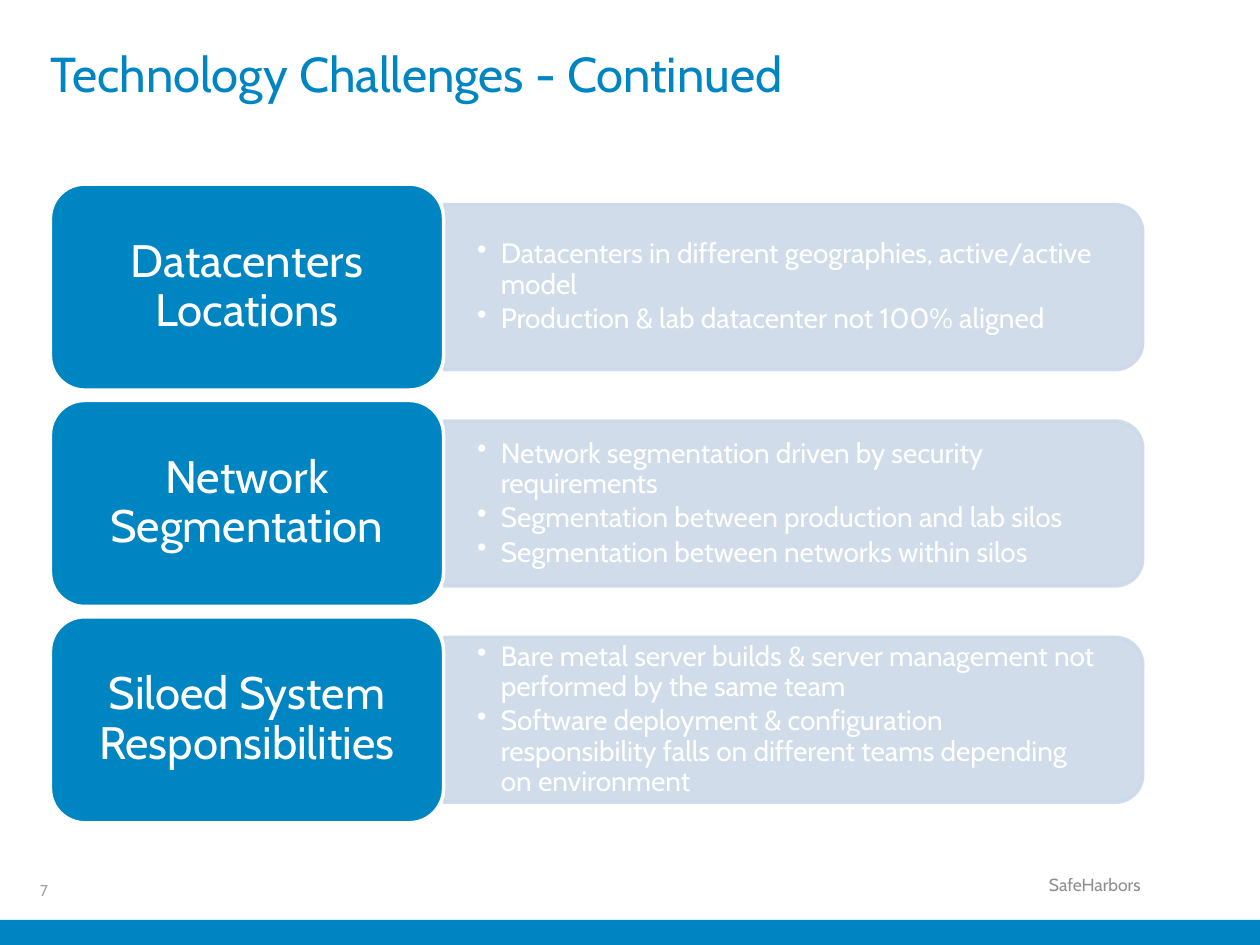
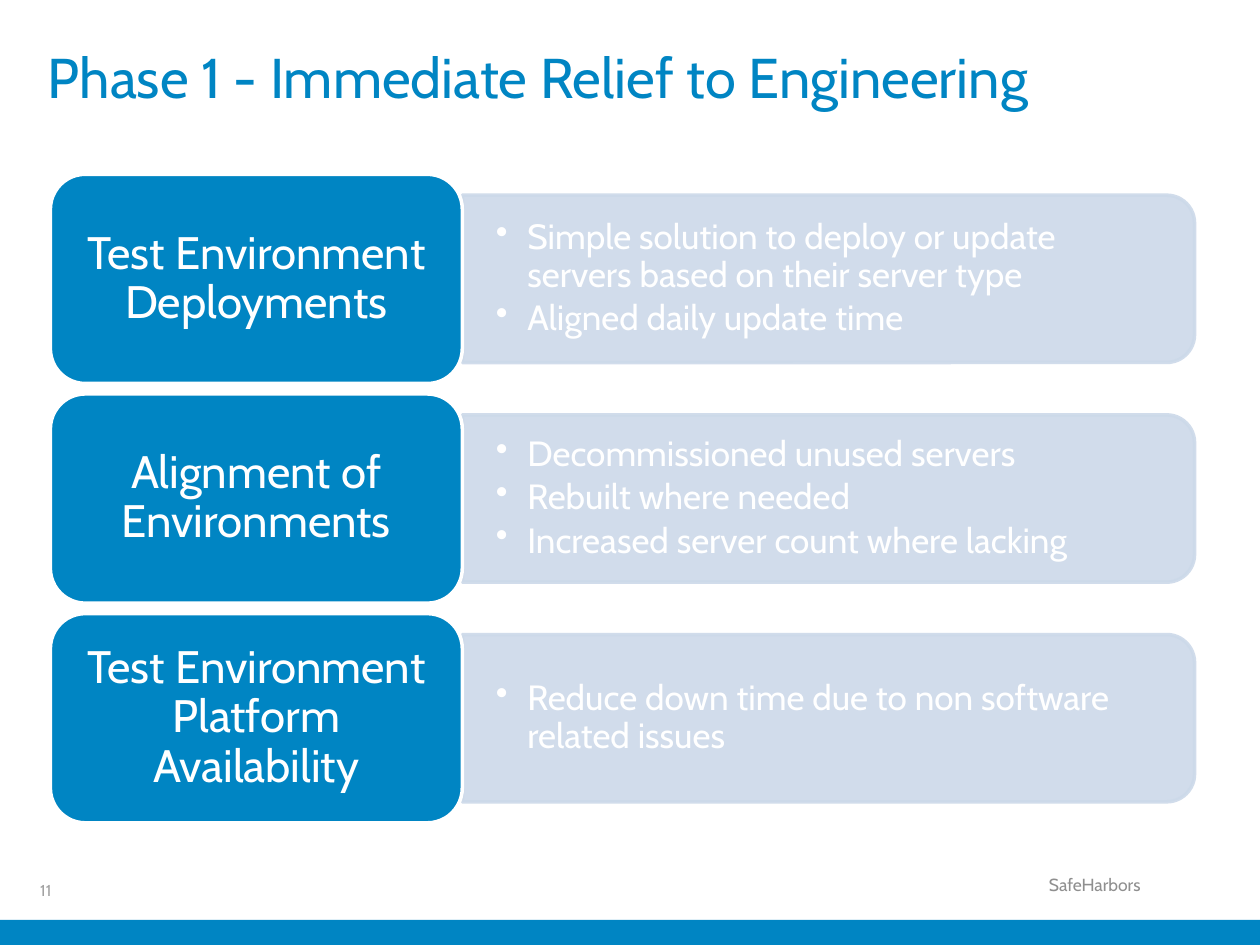
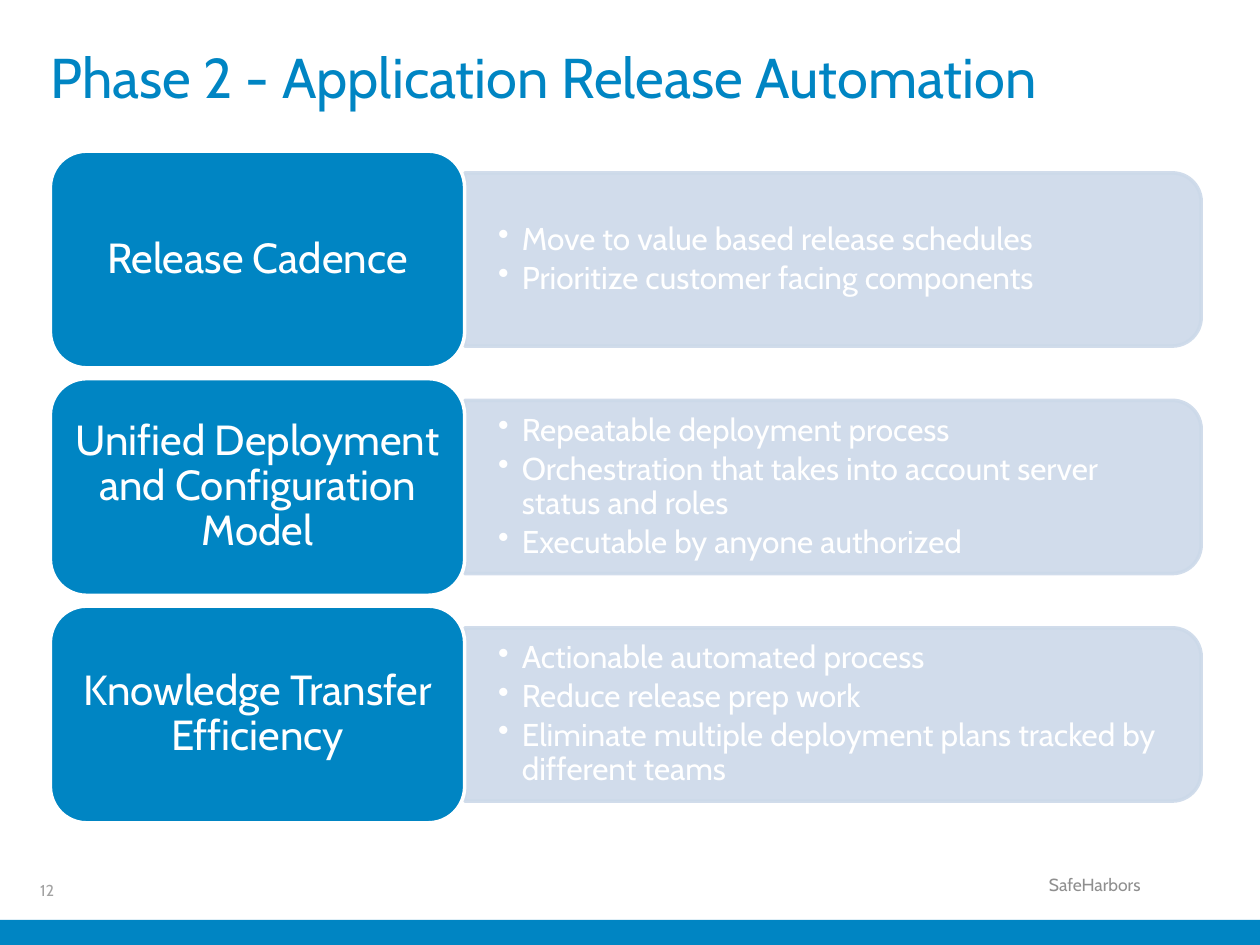
"""Build three slides of labelled bullet panels with a shared title and footer."""
from dataclasses import dataclass

from pptx import Presentation
from pptx.dml.color import RGBColor
from pptx.enum.shapes import MSO_SHAPE as Preset
from pptx.enum.text import MSO_ANCHOR as Anchor, PP_ALIGN as Align
from pptx.oxml.ns import qn
from pptx.util import Pt

FONT = "Cabin"
BLUE, PANEL, WHITE = "0085C3", "CCD9E9", "FFFFFF"
NUMBER_GREY, FOOTER_GREY = "A2A2A2", "8F8F8F"
PANEL_ALPHA = 90
ROWS_LEFT, ROWS_BOTTOM = 28.8, 470.2
LABEL_SHARE, PANEL_HEIGHT_SHARE, GAP_SHARE = 0.36, 0.8, 0.05
PANEL_MARGINS = (19.2, 9.6)
LINE_SPACING = 0.9


@dataclass(frozen=True)
class Row:
    """A blue label and the bullets beside it."""
    label: str
    bullets: list[str]


@dataclass(frozen=True)
class Page:
    """Content and measures of one slide, in points."""
    number: int
    title: str
    title_left: float
    title_size: int
    rows_top: float
    rows_width: float
    label_size: int
    bullet_size: int
    indent: float
    rows: list[Row]


PAGES = [
    Page(7, "Technology Challenges - Continued", 28.8, 28, 105.2, 624.2, 26, 16, 13.5, [
        Row("Datacenters Locations", [
            "Datacenters in different geographies, active/active model",
            "Production & lab datacenter not 100% aligned"]),
        Row("Network Segmentation", [
            "Network segmentation driven by security requirements",
            "Segmentation between production and lab silos",
            "Segmentation between networks within silos"]),
        Row("Siloed System Responsibilities", [
            "Bare metal server builds & server management not performed by the same team",
            "Software deployment & configuration responsibility falls on different teams "
            "depending on environment"]),
    ]),
    Page(11, "Phase 1 - Immediate Relief to Engineering", 27.4, 32, 99.6, 653.8, 26, 20, 18, [
        Row("Test Environment Deployments", [
            "Simple solution to deploy or update servers based on their server type",
            "Aligned daily update time"]),
        Row("Alignment of Environments", [
            "Decommissioned unused servers",
            "Rebuilt where needed",
            "Increased server count where lacking"]),
        Row("Test Environment Platform Availability", [
            "Reduce down time due to non software related issues"]),
    ]),
    Page(12, "Phase 2 - Application Release Automation", 28.8, 32, 86.4, 657.6, 24, 18, 13.5, [
        Row("Release Cadence", [
            "Move to value based release schedules",
            "Prioritize customer facing components"]),
        Row("Unified Deployment and Configuration Model", [
            "Repeatable deployment process",
            "Orchestration that takes into account server status and roles",
            "Executable by anyone authorized"]),
        Row("Knowledge Transfer Efficiency", [
            "Actionable automated process",
            "Reduce release prep work",
            "Eliminate multiple deployment plans tracked by different teams"]),
    ]),
]


def color(value: str) -> RGBColor:
    """Turn a hex string into a colour."""
    return RGBColor.from_string(value)


def add_bullet(para, indent: float) -> None:
    """Give a paragraph a hanging round bullet."""
    properties = para._p.get_or_add_pPr()
    properties.set("marL", str(Pt(indent)))
    properties.set("indent", str(-Pt(indent)))
    bullet = properties.makeelement(qn("a:buChar"), {"char": "•"})
    properties.append(bullet)


def write(shape, lines: list[str], size: float, ink: str, align=Align.LEFT,
          anchor=Anchor.TOP, margins=(0.0, 0.0), after: float = 0, indent: float = 0) -> None:
    """Fill a shape with formatted paragraphs, bulleted when indented."""
    frame = shape.text_frame
    frame.text = "\n".join(lines)
    frame.word_wrap = True
    frame.vertical_anchor = anchor
    frame.margin_left = frame.margin_right = Pt(margins[0])
    frame.margin_top = frame.margin_bottom = Pt(margins[1])
    for para in frame.paragraphs:
        if indent:
            add_bullet(para, indent)
        para.alignment = align
        para.line_spacing = LINE_SPACING
        para.space_after = Pt(after)
        for span in para.runs:
            span.font.name = FONT
            span.font.size = Pt(size)
            span.font.color.rgb = color(ink)


def add_box(slide, left: float, top: float, width: float, height: float):
    """Add an empty text box."""
    return slide.shapes.add_textbox(Pt(left), Pt(top), Pt(width), Pt(height))


def add_block(slide, preset, left: float, top: float, width: float, height: float,
              fill: str, line: str | None = None):
    """Add a filled preset shape with an optional 2 pt outline."""
    block = slide.shapes.add_shape(preset, Pt(left), Pt(top), Pt(width), Pt(height))
    block.shadow.inherit = False
    block.fill.solid()
    block.fill.fore_color.rgb = color(fill)
    if line:
        block.line.color.rgb = color(line)
        block.line.width = Pt(2)
    else:
        block.line.fill.background()
    return block


def add_panel(slide, left: float, middle: float, width: float, height: float):
    """Add a translucent panel rounded on its right side."""
    panel = add_block(slide, Preset.ROUND_2_SAME_RECTANGLE, left + (width - height) / 2,
                      middle - width / 2, height, width, PANEL, PANEL)
    panel.rotation = 90
    for tint in panel.element.spPr.iter(qn("a:srgbClr")):
        tint.append(tint.makeelement(qn("a:alpha"), {"val": str(PANEL_ALPHA * 1000)}))


def add_frame(slide, page: Page) -> None:
    """Add the page number, footer and title."""
    number = add_box(slide, 23, 504.7, 20.9, 9.4)
    write(number, [str(page.number)], 9, NUMBER_GREY, anchor=Anchor.MIDDLE)
    add_block(slide, Preset.RECTANGLE, 0, 525.6, 720, 16.6, BLUE)
    footer = add_box(slide, 536.4, 497.5, 122.4, 18)
    write(footer, ["SafeHarbors"], 10, FOOTER_GREY, Align.RIGHT, margins=(7.2, 3.6))
    title = add_box(slide, page.title_left, 28.8, 626.4, 67)
    write(title, [page.title], page.title_size, BLUE)


def add_rows(slide, page: Page) -> None:
    """Stack the labelled panels evenly above the footer."""
    count = len(page.rows)
    height = (ROWS_BOTTOM - page.rows_top) / (count + GAP_SHARE * (count - 1))
    label_width = page.rows_width * LABEL_SHARE
    panel_left = ROWS_LEFT + label_width
    panel_width = page.rows_width - label_width
    panel_height = height * PANEL_HEIGHT_SHARE
    corner = panel_height * 0.05
    for index, row in enumerate(page.rows):
        top = page.rows_top + index * height * (1 + GAP_SHARE)
        middle = top + height / 2
        add_panel(slide, panel_left, middle, panel_width, panel_height)
        bullets = add_box(slide, panel_left, middle - panel_height / 2 + corner,
                          panel_width - corner, panel_height - 2 * corner)
        write(bullets, row.bullets, page.bullet_size, WHITE, anchor=Anchor.MIDDLE,
              margins=PANEL_MARGINS, after=page.bullet_size * 0.15, indent=page.indent)
        label = add_block(slide, Preset.ROUNDED_RECTANGLE, ROWS_LEFT, top,
                          label_width, height, BLUE, WHITE)
        write(label, [row.label], page.label_size, WHITE, Align.CENTER, Anchor.MIDDLE,
              margins=(page.label_size * 0.3, page.label_size * 0.15))


def main() -> None:
    """Build and save the deck."""
    deck = Presentation()
    deck.slide_width, deck.slide_height = Pt(720), Pt(540)
    for page in PAGES:
        slide = deck.slides.add_slide(deck.slide_layouts[6])
        add_frame(slide, page)
        add_rows(slide, page)
    deck.save("out.pptx")


if __name__ == "__main__":
    main()
